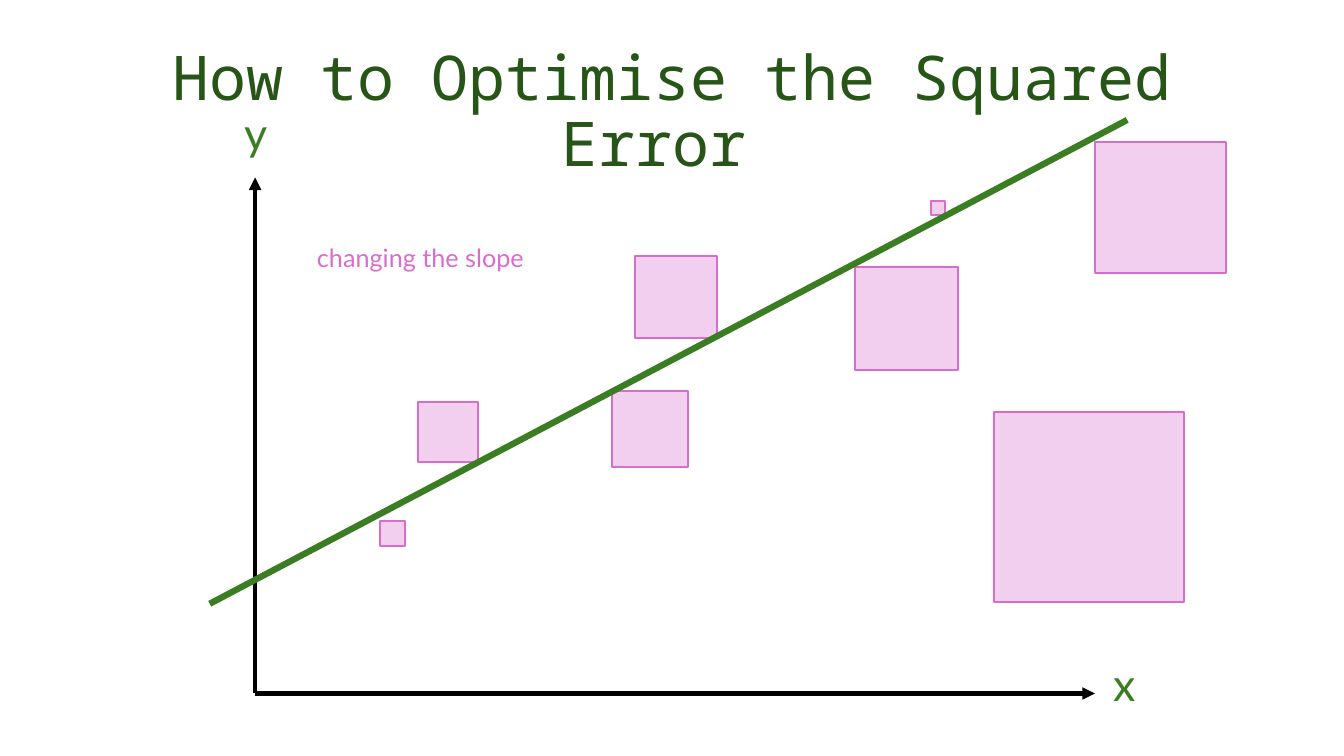
"""Build the slide on optimising the squared error of a fitted line."""
from dataclasses import dataclass

from lxml import etree
from pptx import Presentation
from pptx.dml.color import RGBColor
from pptx.enum.shapes import MSO_CONNECTOR, MSO_SHAPE
from pptx.enum.text import MSO_ANCHOR, MSO_AUTO_SIZE, PP_ALIGN
from pptx.oxml.ns import qn
from pptx.slide import Slide
from pptx.text.text import TextFrame
from pptx.util import Emu, Pt

RECTANGLE = MSO_SHAPE.RECTANGLE
STRAIGHT = MSO_CONNECTOR.STRAIGHT
MIDDLE = MSO_ANCHOR.MIDDLE
TOP = MSO_ANCHOR.TOP
NO_AUTOFIT = MSO_AUTO_SIZE.NONE
CENTER = PP_ALIGN.CENTER

EMU_PER_PX = 9144
TITLE_ONLY_LAYOUT = 5
SANS = "Lato"
MONO = "Noto Sans Mono"
BLACK = "000000"
GREEN = "3B7D23"
DARK_GREEN = "275417"
PINK = "D86ECC"
LIGHT_PINK = "F2CFEE"


@dataclass(frozen=True)
class ErrorSquare:
    left: int
    top: int
    side: int


@dataclass(frozen=True)
class Line:
    start: tuple[int, int]
    end: tuple[int, int]
    color: str
    width: float
    arrow: bool


@dataclass(frozen=True)
class Label:
    text: str
    box: tuple[int, int, int, int]
    size: int
    color: str
    anchor: MSO_ANCHOR


ORIGIN = (253, 688)

ERROR_SQUARES = [
    ErrorSquare(630, 254, 81),
    ErrorSquare(923, 199, 14),
    ErrorSquare(1086, 141, 130),
    ErrorSquare(848, 265, 102),
    ErrorSquare(607, 388, 75),
    ErrorSquare(377, 517, 25),
    ErrorSquare(415, 399, 59),
    ErrorSquare(986, 409, 188),
]

LINES = [
    Line(ORIGIN, (253, 176), BLACK, 3, True),
    Line(ORIGIN, (1086, 688), BLACK, 3, True),
    Line((208, 599), (1118, 119), GREEN, 4.5, False),
]

LABELS = [
    Label("x", (1086, 646, 58, 64), 32, GREEN, MIDDLE),
    Label("y", (208, 100, 91, 64), 32, GREEN, MIDDLE),
    Label("changing the slope", (265, 235, 304, 40), 18, PINK, TOP),
]


def px(*lengths: int) -> list[Emu]:
    """Turn px lengths into EMU."""
    return [Emu(length * EMU_PER_PX) for length in lengths]


def rgb(color: str) -> RGBColor:
    """Turn a hex string into a colour."""
    return RGBColor.from_string(color)


def write_text(frame: TextFrame, text: str, font: str, size: int, color: str,
               anchor: MSO_ANCHOR) -> None:
    """Write one centred run into a text frame."""
    frame.word_wrap = True
    frame.auto_size = NO_AUTOFIT
    frame.vertical_anchor = anchor
    paragraph = frame.paragraphs[0]
    paragraph.alignment = CENTER
    run = paragraph.add_run()
    run.text = text
    run.font.name = font
    run.font.size = Pt(size)
    run.font.color.rgb = rgb(color)


def add_title(slide: Slide) -> None:
    """Place and format the title placeholder."""
    title = slide.shapes.title
    title.left, title.top, title.width, title.height = px(92, 40, 1150, 145)
    write_text(title.text_frame, "How to Optimise the Squared Error ", MONO, 44,
               DARK_GREEN, MIDDLE)
    title.text_frame.paragraphs[0].line_spacing = 0.9


def add_error_square(slide: Slide, square: ErrorSquare) -> None:
    """Draw one squared error."""
    shape = slide.shapes.add_shape(
        RECTANGLE, *px(square.left, square.top, square.side, square.side))
    shape.shadow.inherit = False
    shape.fill.solid()
    shape.fill.fore_color.rgb = rgb(LIGHT_PINK)
    shape.line.color.rgb = rgb(PINK)
    shape.line.width = Pt(1.5)


def add_line(slide: Slide, line: Line) -> None:
    """Draw an axis or the fitted line."""
    connector = slide.shapes.add_connector(STRAIGHT, *px(*line.start, *line.end))
    connector.line.color.rgb = rgb(line.color)
    connector.line.width = Pt(line.width)
    properties = connector.line._get_or_add_ln()
    if line.arrow:
        etree.SubElement(properties, qn("a:tailEnd"), type="triangle")
    etree.SubElement(properties.getparent(), qn("a:effectLst"))


def add_label(slide: Slide, label: Label) -> None:
    """Write one label."""
    textbox = slide.shapes.add_textbox(*px(*label.box))
    write_text(textbox.text_frame, label.text, SANS, label.size, label.color,
               label.anchor)


def main() -> None:
    """Build and save the presentation."""
    presentation = Presentation()
    presentation.slide_width, presentation.slide_height = px(1333, 750)
    layout = presentation.slide_layouts[TITLE_ONLY_LAYOUT]
    slide = presentation.slides.add_slide(layout)
    add_title(slide)
    for square in ERROR_SQUARES:
        add_error_square(slide, square)
    for line in LINES:
        add_line(slide, line)
    for label in LABELS:
        add_label(slide, label)
    presentation.save("out.pptx")


if __name__ == "__main__":
    main()
